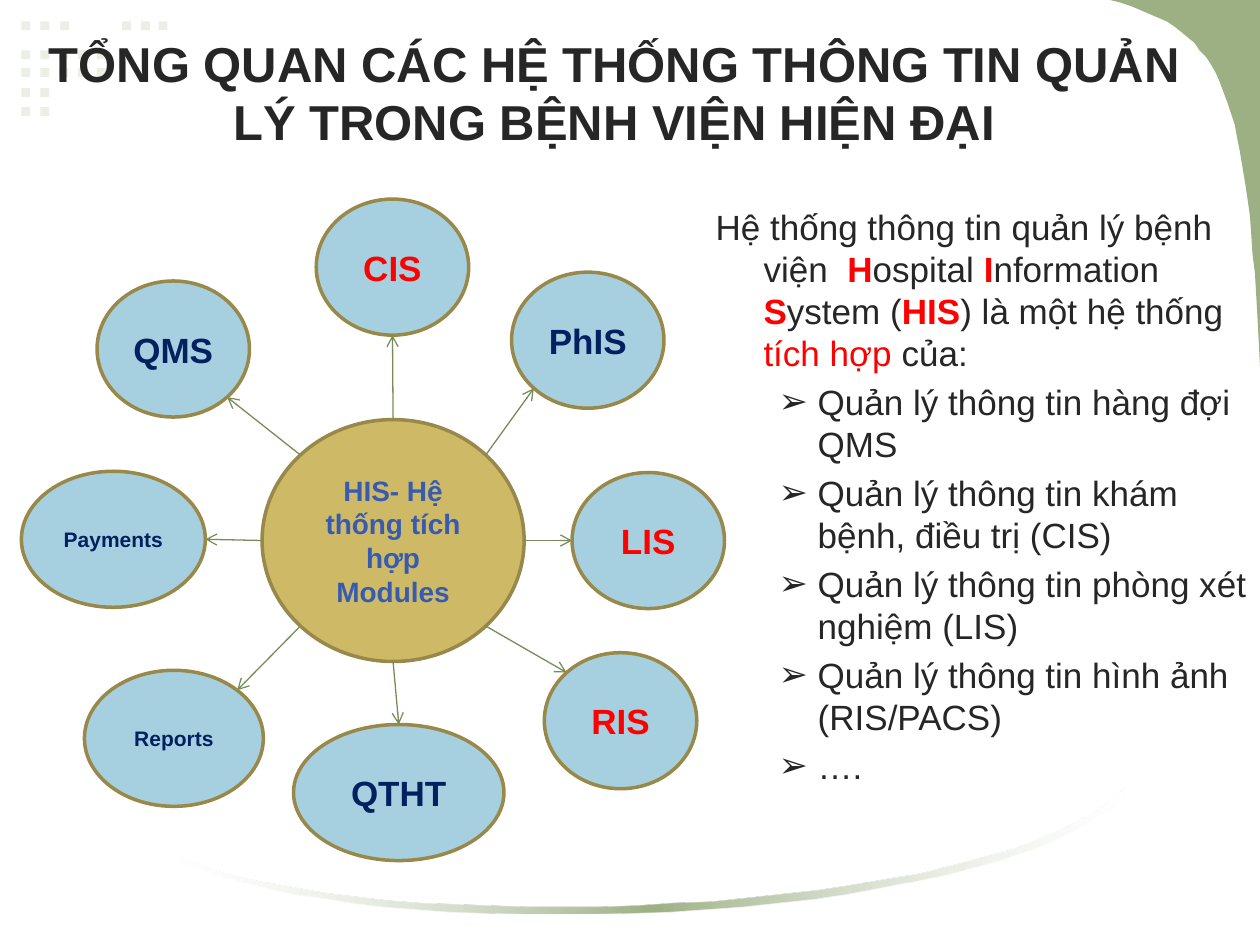
from dataclasses import dataclass
from math import sqrt

from lxml.etree import SubElement
from pptx import Presentation
from pptx.dml.color import RGBColor
from pptx.enum.shapes import MSO_CONNECTOR, MSO_SHAPE
from pptx.enum.text import MSO_ANCHOR, MSO_AUTO_SIZE, PP_ALIGN
from pptx.oxml import parse_xml
from pptx.oxml.ns import nsdecls, qn
from pptx.util import Inches, Pt


@dataclass(frozen=True)
class Theme:
    font: str = "Arial"
    text: str = "262626"
    accent: str = "FF0000"
    navy: str = "002060"
    hub_text: str = "375BB0"
    hub: str = "CEB966"
    node: str = "A6D0DF"
    outline: str = "98894B"
    arrow: str = "768D5A"
    green: str = "9CB084"
    dot: str = "EBEFE6"
    white: str = "FFFFFF"
    title_size: int = 28
    body_size: int = 20
    hub_size: int = 16
    small_size: int = 12


TITLE = "TỔNG QUAN CÁC HỆ THỐNG THÔNG TIN QUẢN LÝ TRONG BỆNH VIỆN HIỆN ĐẠI"

INTRO = [
    ("Hệ thống thông tin quản lý bệnh viện  ", False, False),
    ("H", True, True), ("ospital ", False, False),
    ("I", True, True), ("nformation ", False, False),
    ("S", True, True), ("ystem (", False, False),
    ("HIS", True, True), (") là một hệ thống ", False, False),
    ("tích hợp", True, False), (" của:", False, False),
]

MODULES = [
    "Quản lý thông tin hàng đợi QMS",
    "Quản lý thông tin khám bệnh, điều trị (CIS)",
    "Quản lý thông tin phòng xét nghiệm (LIS)",
    "Quản lý thông tin hình ảnh (RIS/PACS)",
    "….",
]

DOT_ROWS = {
    0.17: [0.17, 0.32, 0.48, 0.97, 1.12, 1.26],
    0.4: [0.17, 0.32, 0.47, 0.62, 0.77],
    0.54: [0.17, 0.32, 0.47, 0.62, 0.77],
    0.7: [0.17, 0.32],
    0.85: [0.17, 0.32],
}

CORNER = [
    (8.81, 0), (10, 0), (10, 2.91), (9.99, 2.71), (9.98, 2.52), (9.97, 2.34), (9.96, 2.17),
    (9.94, 2.01), (9.93, 1.85), (9.92, 1.71), (9.9, 1.57), (9.88, 1.44), (9.86, 1.32),
    (9.84, 1.2), (9.82, 1.1), (9.8, 0.99), (9.77, 0.9), (9.74, 0.81), (9.71, 0.73),
    (9.68, 0.65), (9.65, 0.58), (9.61, 0.51), (9.57, 0.45), (9.52, 0.4), (9.48, 0.34),
    (9.43, 0.3), (9.37, 0.25), (9.32, 0.21), (9.26, 0.17), (9.19, 0.14), (9.12, 0.11),
    (9.05, 0.08), (8.98, 0.05), (8.89, 0.02),
]

SWOOSH = [
    (8.92, 6.25), (8.92, 6.32), (8.81, 6.41), (8.67, 6.5), (8.52, 6.59), (8.35, 6.67),
    (8.16, 6.75), (7.95, 6.82), (7.73, 6.88), (7.5, 6.94), (7.25, 6.99), (7, 7.04),
    (6.73, 7.09), (6.46, 7.13), (6.17, 7.16), (5.89, 7.19), (5.6, 7.21), (5.31, 7.23),
    (5.01, 7.24), (4.72, 7.25), (4.43, 7.25), (4.14, 7.25), (3.85, 7.24), (3.57, 7.23),
    (3.3, 7.21), (3.04, 7.19), (2.79, 7.16), (2.55, 7.12), (2.32, 7.09), (2.1, 7.04),
    (1.91, 6.99), (1.72, 6.94), (1.56, 6.88), (1.42, 6.82), (1.42, 6.79), (1.56, 6.85),
    (1.73, 6.91), (1.92, 6.96), (2.12, 7), (2.34, 7.04), (2.57, 7.08), (2.81, 7.11),
    (3.07, 7.14), (3.33, 7.16), (3.61, 7.17), (3.89, 7.18), (4.17, 7.19), (4.46, 7.19),
    (4.76, 7.19), (5.05, 7.18), (5.34, 7.16), (5.64, 7.15), (5.93, 7.12), (6.21, 7.09),
    (6.49, 7.06), (6.76, 7.02), (7.03, 6.97), (7.29, 6.93), (7.53, 6.87), (7.76, 6.81),
    (7.98, 6.75), (8.18, 6.68), (8.37, 6.6), (8.54, 6.52), (8.68, 6.44), (8.81, 6.35),
]


class Deck:
    def __init__(self, theme):
        self.theme = theme
        self.prs = Presentation()
        self.prs.slide_width, self.prs.slide_height = Inches(10), Inches(7.5)
        self.s = self.prs.slides.add_slide(self.prs.slide_layouts[1])

    def style(self, font, size, color, bold=None):
        font.name, font.size, font.bold = self.theme.font, Pt(size), bold
        font.color.rgb = RGBColor.from_string(color)

    def paint(self, sp, fill, line=None):
        sp.shadow.inherit = False
        sp.fill.solid()
        sp.fill.fore_color.rgb = RGBColor.from_string(fill)
        if line:
            sp.line.color.rgb = RGBColor.from_string(line)
            sp.line.width = Pt(2)
        else:
            sp.line.fill.background()
        return sp

    def shape(self, kind, box, fill, line=None):
        sp = self.s.shapes.add_shape(kind, *map(Inches, box))
        return self.paint(sp, fill, line)

    def outline(self, points, fill):
        start, *rest = [(Inches(x), Inches(y)) for x, y in points]
        fb = self.s.shapes.build_freeform(*start)
        fb.add_line_segments(rest, close=True)
        return self.paint(fb.convert_to_shape(), fill)

    def fade(self, sp, edge, middle):
        end = f'<a:srgbClr val="{edge}"><a:alpha val="30000"/></a:srgbClr>'
        grad = parse_xml(
            f'<a:gradFill {nsdecls("a")} rotWithShape="1"><a:gsLst>'
            f'<a:gs pos="0">{end}</a:gs>'
            f'<a:gs pos="50000"><a:srgbClr val="{middle}"/></a:gs>'
            f'<a:gs pos="100000">{end}</a:gs>'
            '</a:gsLst><a:lin ang="0" scaled="1"/></a:gradFill>')
        solid = sp._element.spPr.find(qn("a:solidFill"))
        solid.getparent().replace(solid, grad)

    def bubble(self, text, box, fill, size, color, wrap=False):
        sp = self.shape(MSO_SHAPE.OVAL, box, fill, self.theme.outline)
        tf = sp.text_frame
        tf.word_wrap, tf.vertical_anchor = wrap, MSO_ANCHOR.MIDDLE
        p = tf.paragraphs[0]
        p.text, p.alignment = text, PP_ALIGN.CENTER
        self.style(p.font, size, color, True)

    def arrow(self, start, end):
        cx = self.s.shapes.add_connector(MSO_CONNECTOR.STRAIGHT, *map(Inches, start + end))
        cx.line.color.rgb = RGBColor.from_string(self.theme.arrow)
        cx.line.width = Pt(0.75)
        SubElement(cx.line._get_or_add_ln(), qn("a:tailEnd"), type="arrow")
        SubElement(cx._element.spPr, qn("a:effectLst"))

    def placeholder(self, sp, box, anchor):
        self.s.shapes._spTree.append(sp._element)
        sp.left, sp.top, sp.width, sp.height = map(Inches, box)
        tf = sp.text_frame
        tf.word_wrap, tf.auto_size, tf.vertical_anchor = True, MSO_AUTO_SIZE.NONE, anchor
        return tf

    def title(self, text, box):
        p = self.placeholder(self.s.shapes.title, box, MSO_ANCHOR.MIDDLE).paragraphs[0]
        p.text, p.alignment = text, PP_ALIGN.CENTER
        self.style(p.font, self.theme.title_size, self.theme.text, True)

    def list_item(self, p, level, margin, hanging, bullet=None):
        p.level, p.space_before = level, Pt(4)
        self.style(p.font, self.theme.body_size, self.theme.text)
        pPr = p._p.get_or_add_pPr()
        pPr.set("marL", str(Inches(margin)))
        pPr.set("indent", str(-Inches(hanging)))
        mark = f'<a:buChar {nsdecls("a")} char="{bullet}"/>' if bullet else f'<a:buNone {nsdecls("a")}/>'
        pPr.find(qn("a:defRPr")).addprevious(parse_xml(mark))

    def body(self, intro, items, box):
        t = self.theme
        tf = self.placeholder(self.s.placeholders[1], box, MSO_ANCHOR.TOP)
        p = tf.paragraphs[0]
        for text, accent, bold in intro:
            r = p.add_run()
            r.text = text
            self.style(r.font, t.body_size, t.accent if accent else t.text, bold)
        self.list_item(p, 0, 0.38, 0.38)
        for text in items:
            p = tf.add_paragraph()
            p.text = text
            self.list_item(p, 1, 0.81, 0.31, "➢")


def ellipse_site(box, dx, dy):
    x, y, w, h = box
    reach = 2 * sqrt(dx * dx + dy * dy)
    return x + w / 2 + dx * w / reach, y + h / 2 + dy * h / reach


def main():
    t = Theme()
    deck = Deck(t)
    for y, columns in DOT_ROWS.items():
        for x in columns:
            deck.shape(MSO_SHAPE.RECTANGLE, (x, y, 0.07, 0.07), t.dot)
    deck.outline(CORNER, t.green)
    deck.fade(deck.outline(SWOOSH, t.green), t.white, t.green)

    hub = (2.08, 3.33, 2.08, 1.92)
    deck.bubble("HIS- Hệ thống tích hợp Modules", hub, t.hub, t.hub_size, t.hub_text, True)
    nodes = [
        ("CIS", 2.51, 1.58, 1.21, (0, -1), t.body_size, t.accent),
        ("QMS", 0.77, 2.23, 1.21, (-1, -1), t.body_size, t.navy),
        ("PhIS", 4.06, 2.16, 1.21, (1, -1), t.body_size, t.navy),
        ("QTHT", 2.33, 5.75, 1.67, (0, 1), t.body_size, t.navy),
        ("LIS", 4.54, 3.75, 1.21, (1, 0), t.body_size, t.accent),
        ("RIS", 4.32, 5.18, 1.21, (1, 1), t.body_size, t.accent),
        ("Payments", 0.17, 3.74, 1.46, (-1, 0), t.small_size, t.navy),
        ("Reports", 0.67, 5.32, 1.42, (-1, 1), t.small_size, t.navy),
    ]
    for text, x, y, w, (dx, dy), size, color in nodes:
        box = (x, y, w, 1.08)
        deck.arrow(ellipse_site(hub, dx, dy), ellipse_site(box, -dx, -dy))
        deck.bubble(text, box, t.node, size, color)

    deck.body(INTRO, MODULES, (5.58, 1.58, 4.42, 5.17))
    deck.title(TITLE, (0, 0.13, 9.75, 1.2))
    deck.prs.save("out.pptx")


if __name__ == "__main__":
    main()
